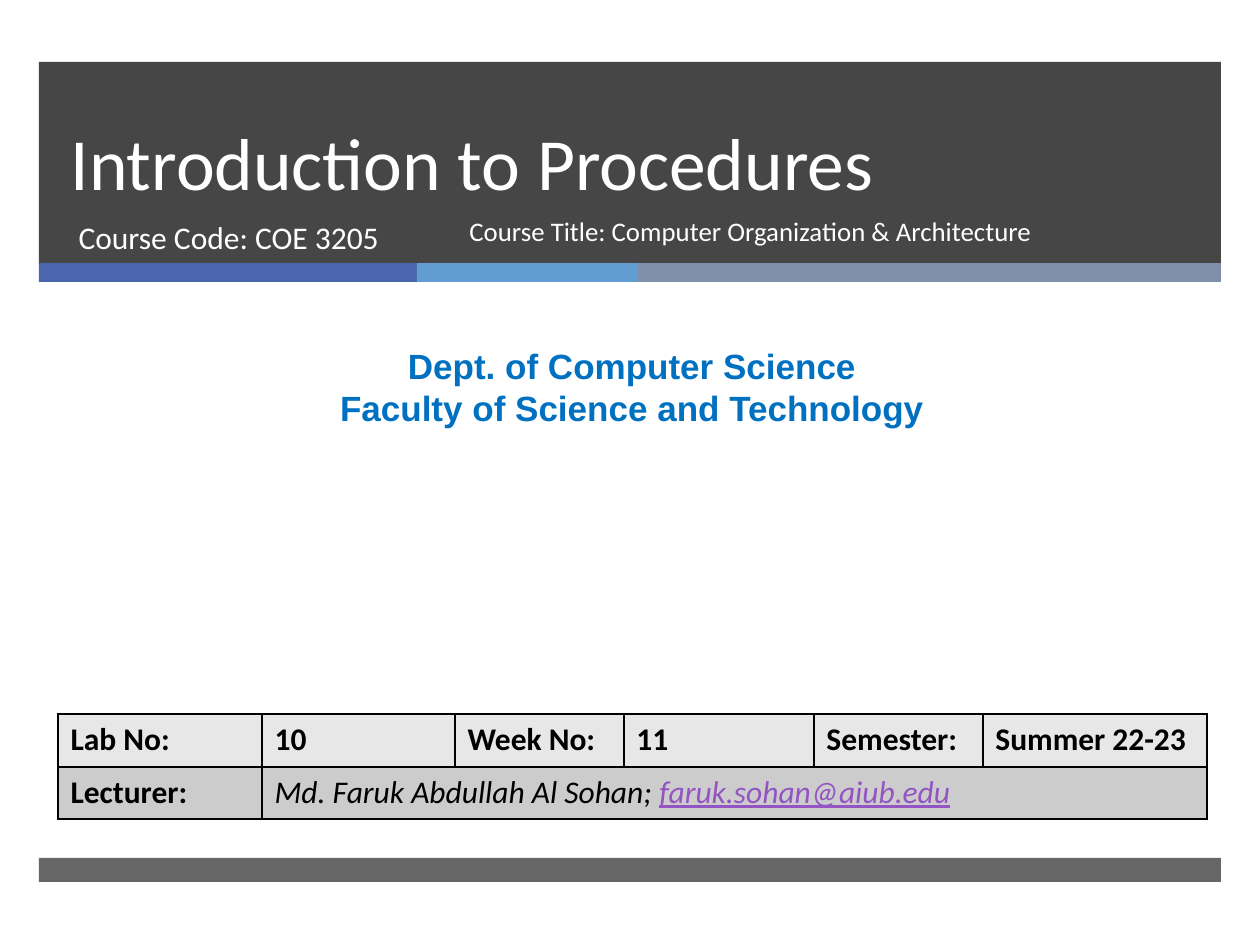
from typing import NamedTuple, Optional

from lxml.etree import SubElement
from pptx import Presentation
from pptx.dml.color import RGBColor
from pptx.enum.shapes import MSO_SHAPE as Preset
from pptx.enum.text import MSO_ANCHOR as Anchor, MSO_AUTO_SIZE as AutoSize, PP_ALIGN as Align
from pptx.oxml import parse_xml
from pptx.oxml.ns import nsdecls, qn
from pptx.util import Emu, Pt

EMU_PER_PX = 914400 / 126

WHITE = RGBColor(0xFF, 0xFF, 0xFF)
BLACK = RGBColor(0x00, 0x00, 0x00)
CHARCOAL = RGBColor(0x26, 0x26, 0x26)
INDIGO = RGBColor(0x4A, 0x66, 0xAC)
SKY = RGBColor(0x62, 0x9D, 0xD1)
SLATE = RGBColor(0x7F, 0x8F, 0xA9)
DEPT_BLUE = RGBColor(0x00, 0x70, 0xC0)
EMAIL_PURPLE = RGBColor(0x94, 0x54, 0xC3)
LIGHT_ROW = RGBColor(0xE7, 0xE7, 0xE7)
DARK_ROW = RGBColor(0xCC, 0xCC, 0xCC)


class Box(NamedTuple):
    left: int
    top: int
    width: int
    height: int


class Band(NamedTuple):
    box: Box
    color: RGBColor
    opacity: int = 100


class Style(NamedTuple):
    size: float
    color: RGBColor
    font: str = "Calibri"
    bold: bool = False
    italic: bool = False
    underline: bool = False


class Span(NamedTuple):
    text: str
    style: Style


class Block(NamedTuple):
    box: Box
    lines: list[Span]
    align: Align = Align.LEFT
    anchor: Anchor = Anchor.TOP
    line_spacing: Optional[float] = None


TITLE = Block(Box(58, 62, 1076, 150), [Span("Introduction to Procedures", Style(42, WHITE))],
              anchor=Anchor.BOTTOM, line_spacing=Pt(46))
COURSE_CODE = Block(Box(66, 212, 384, 67), [Span("Course Code: COE 3205", Style(18, WHITE))])
COURSE_TITLE = Block(Box(457, 212, 591, 67),
                     [Span("Course Title: Computer Organization & Architecture", Style(15.3, WHITE))],
                     line_spacing=0.9)
DEPT_STYLE = Style(20, DEPT_BLUE, "Arial", bold=True)
DEPARTMENT = Block(Box(10, 338, 1244, 97),
                   [Span("Dept. of Computer Science", DEPT_STYLE),
                    Span("Faculty of Science and Technology", DEPT_STYLE)],
                   align=Align.CENTER)

BANDS = [
    Band(Box(39, 62, 1182, 202), CHARCOAL, 85),
    Band(Box(39, 263, 378, 19), INDIGO),
    Band(Box(417, 263, 221, 19), SKY),
    Band(Box(638, 263, 583, 19), SLATE),
    Band(Box(39, 858, 1182, 24), CHARCOAL, 70),
]

LABEL = Style(18, BLACK, bold=True)
NAME = Style(18, BLACK, italic=True)
EMAIL = Style(18, EMAIL_PURPLE, italic=True, underline=True)
DETAILS_BOX = Box(58, 714, 1149, 105)
COLUMN_WIDTHS = [204, 193, 169, 190, 169, 224]
ROW_HEIGHTS = [53, 52]
ROW_FILLS = [LIGHT_ROW, DARK_ROW]
DETAILS = [
    [[Span(text, LABEL)] for text in
     ("Lab No:", "10", "Week No:", "11", "Semester:", "Summer 22-23")],
    [[Span("Lecturer:", LABEL)],
     [Span("Md. Faruk Abdullah Al Sohan; ", NAME), Span("faruk.sohan@aiub.edu", EMAIL)]],
]


def px(length: int) -> Emu:
    return Emu(round(length * EMU_PER_PX))


def place(box: Box) -> tuple[Emu, ...]:
    return tuple(px(length) for length in box)


def add_run(paragraph, span: Span) -> None:
    run = paragraph.add_run()
    run.text = span.text
    font, style = run.font, span.style
    font.name, font.size = style.font, Pt(style.size)
    font.bold, font.italic, font.underline = style.bold, style.italic, style.underline
    font.color.rgb = style.color


def add_band(slide, band: Band) -> None:
    rect = slide.shapes.add_shape(Preset.RECTANGLE, *place(band.box))
    rect.shadow.inherit = False
    rect.line.fill.background()
    rect.fill.solid()
    rect.fill.fore_color.rgb = band.color
    if band.opacity < 100:
        color = rect.element.spPr.find(qn("a:solidFill"))[0]
        SubElement(color, qn("a:alpha"), val=str(band.opacity * 1000))


def write_block(shape, block: Block) -> None:
    shape.left, shape.top, shape.width, shape.height = place(block.box)
    frame = shape.text_frame
    frame.word_wrap = True
    frame.auto_size = AutoSize.NONE
    frame.vertical_anchor = block.anchor
    for index, line in enumerate(block.lines):
        paragraph = frame.add_paragraph() if index else frame.paragraphs[0]
        paragraph.alignment = block.align
        paragraph.space_before = Pt(0)
        if block.line_spacing:
            paragraph.line_spacing = block.line_spacing
        add_run(paragraph, line)


def add_block(slide, block: Block) -> None:
    write_block(slide.shapes.add_textbox(*place(block.box)), block)


def frame_cell(cell, fill: RGBColor) -> None:
    properties = cell._tc.get_or_add_tcPr()
    for side in "LRTB":
        properties.append(parse_xml(
            f'<a:ln{side} {nsdecls("a")} w="{Pt(1)}"><a:solidFill>'
            f'<a:srgbClr val="{BLACK}"/></a:solidFill></a:ln{side}>'))
    cell.fill.solid()
    cell.fill.fore_color.rgb = fill


def add_details(slide) -> None:
    table = slide.shapes.add_table(
        len(ROW_HEIGHTS), len(COLUMN_WIDTHS), *place(DETAILS_BOX)).table
    table.first_row = table.horz_banding = False
    for column, width in zip(table.columns, COLUMN_WIDTHS):
        column.width = px(width)
    for row, height, fill, entries in zip(table.rows, ROW_HEIGHTS, ROW_FILLS, DETAILS):
        row.height = px(height)
        for cell in row.cells:
            frame_cell(cell, fill)
        for cell, spans in zip(row.cells, entries):
            for span in spans:
                add_run(cell.text_frame.paragraphs[0], span)
    table.cell(1, 1).merge(table.cell(1, len(COLUMN_WIDTHS) - 1))


def main() -> None:
    deck = Presentation()
    deck.slide_width, deck.slide_height = px(1260), px(945)
    slide = deck.slides.add_slide(deck.slide_layouts[0])
    for band in BANDS:
        add_band(slide, band)
    title, course_code = slide.placeholders
    for placeholder, block in ((title, TITLE), (course_code, COURSE_CODE)):
        write_block(placeholder, block)
        slide.shapes.element.append(placeholder.element)
    add_block(slide, DEPARTMENT)
    add_details(slide)
    add_block(slide, COURSE_TITLE)
    deck.save("out.pptx")


if __name__ == "__main__":
    main()
